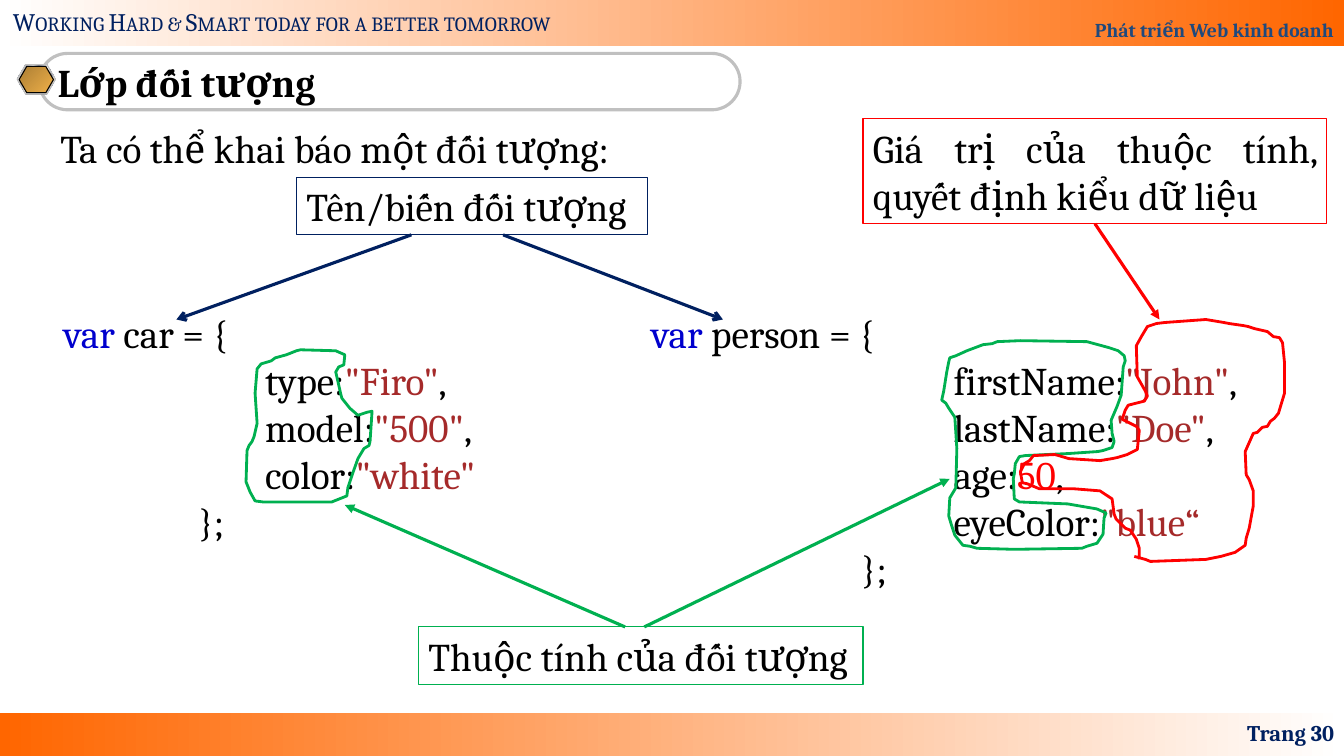
from copy import deepcopy

from lxml import etree
from pptx import Presentation
from pptx.dml.color import RGBColor
from pptx.enum.shapes import MSO_CONNECTOR, MSO_SHAPE
from pptx.enum.text import MSO_ANCHOR, PP_ALIGN
from pptx.oxml.ns import qn
from pptx.util import Inches, Pt

WHITE = RGBColor(0xFF, 0xFF, 0xFF)
BLACK = RGBColor(0, 0, 0)
ORANGE = RGBColor(0xFF, 0x66, 0x00)
NAVY = RGBColor(0x00, 0x20, 0x60)
HEADER_BLUE = RGBColor(0x1F, 0x49, 0x7D)
SILVER = RGBColor(0xC0, 0xC0, 0xC0)
GRAY = RGBColor(0x80, 0x80, 0x80)
LIGHT_STEEL = RGBColor(0xE6, 0xE6, 0xE6)
DARK_STEEL = RGBColor(0x7D, 0x84, 0x96)
DARK_GOLD = RGBColor(0xAB, 0x7E, 0x34)
GOLD = RGBColor(0xEF, 0xB0, 0x49)
GREEN = RGBColor(0x00, 0xB0, 0x50)
RED = RGBColor(0xFF, 0, 0)
KEYWORD = RGBColor(0, 0, 0xCD)
STRING = RGBColor(0xA5, 0x2A, 0x2A)

STEEL_STOPS = [(0, LIGHT_STEEL), (7, DARK_STEEL), (26, LIGHT_STEEL), (34, DARK_STEEL),
               (46, LIGHT_STEEL), (50, WHITE), (54, LIGHT_STEEL), (66, DARK_STEEL),
               (74, LIGHT_STEEL), (93, DARK_STEEL), (100, LIGHT_STEEL)]

CAR_CODE = [
    [("var", KEYWORD), (" car = {", BLACK)],
    [("\t\ttype:", BLACK), ('"Firo"', STRING), (",", BLACK)],
    [("\t\tmodel:", BLACK), ('"500"', STRING), (",", BLACK)],
    [("\t\tcolor:", BLACK), ('"white"', STRING)],
    [("\t    };", BLACK)],
]
PERSON_CODE = [
    [("var", KEYWORD), (" person = {", BLACK)],
    [("\t\t\tfirstName:", BLACK), ('"John"', STRING), (",", BLACK)],
    [("\t\t\tlastName:", BLACK), ('"Doe"', STRING), (",", BLACK)],
    [("\t\t\tage:", BLACK), ("50", RED), (",", BLACK)],
    [("\t\t\teyeColor:", BLACK), ('"blue“', STRING)],
    [("\t\t };", BLACK)],
]

# Hand-drawn outlines, in hundredths of an inch
CAR_PROPERTIES = [
    (261, 498), (253, 497), (248, 488), (244, 478), (245, 447), (247, 442), (250, 438),
    (252, 433), (255, 420), (253, 390), (255, 366), (259, 361), (269, 358), (273, 355),
    (284, 352), (294, 348), (298, 347), (333, 348), (342, 352), (341, 362), (336, 364),
    (333, 369), (338, 391), (339, 395), (347, 405), (355, 412), (364, 409), (369, 408),
    (367, 438), (366, 442), (361, 445), (355, 455), (350, 469), (347, 478), (345, 484),
    (344, 492), (339, 494), (329, 498), (291, 498)]
PERSON_PROPERTIES = [
    (934, 397), (936, 388), (939, 369), (941, 359), (942, 355), (948, 353), (959, 348),
    (975, 342), (984, 341), (989, 339), (1012, 338), (1078, 339), (1100, 345), (1109, 348),
    (1115, 353), (1116, 358), (1114, 364), (1112, 392), (1108, 403), (1102, 417),
    (1103, 430), (1105, 438), (1103, 444), (1094, 447), (1089, 448), (1060, 450),
    (1017, 452), (1011, 453), (1007, 460), (1006, 470), (1005, 475), (1006, 495),
    (1011, 498), (1059, 500), (1088, 505), (1097, 509), (1095, 514), (1094, 530),
    (1088, 539), (1078, 542), (1073, 544), (1006, 545), (969, 544), (962, 542), (955, 541),
    (947, 531), (944, 522), (941, 512), (942, 494), (948, 484), (949, 445), (947, 414),
    (941, 405), (938, 400)]
PERSON_VALUES = [
    (1125, 552), (1136, 555), (1141, 557), (1196, 555), (1211, 552), (1225, 548),
    (1235, 541), (1236, 534), (1239, 524), (1243, 502), (1243, 487), (1239, 476),
    (1236, 471), (1235, 448), (1243, 430), (1247, 429), (1252, 424), (1257, 423),
    (1260, 418), (1264, 415), (1268, 410), (1274, 390), (1274, 360), (1272, 340),
    (1269, 335), (1263, 334), (1257, 329), (1244, 326), (1238, 324), (1233, 323),
    (1219, 321), (1214, 320), (1196, 317), (1155, 320), (1147, 321), (1138, 324),
    (1132, 334), (1127, 343), (1128, 374), (1136, 388), (1138, 393), (1135, 398),
    (1119, 402), (1116, 407), (1113, 416), (1127, 423), (1130, 427), (1128, 446),
    (1118, 451), (1108, 454), (1103, 455), (1091, 457), (1060, 455), (1050, 452),
    (1046, 451), (1025, 452), (1021, 457), (1016, 460), (1012, 468), (1014, 479),
    (1019, 480), (1031, 485), (1066, 485), (1091, 487), (1103, 495), (1105, 510),
    (1107, 515), (1116, 524), (1121, 526), (1127, 535), (1130, 544), (1130, 555)]


def set_text(shape, lines, size=28, bold=False, align=PP_ALIGN.LEFT,
             anchor=MSO_ANCHOR.TOP, wrap=True, tabs=0):
    """Fill a shape with lines, each a list of (text, colour) runs."""
    frame = shape.text_frame
    frame.word_wrap = wrap
    frame.vertical_anchor = anchor
    for index, line in enumerate(lines):
        paragraph = frame.add_paragraph() if index else frame.paragraphs[0]
        paragraph.alignment = align
        if tabs:
            add_tab_stops(paragraph, tabs)
        for text, color in line:
            run = paragraph.add_run()
            run.text = text
            run.font.name = "Cambria"
            run.font.size = Pt(size)
            run.font.bold = bold
            run.font.color.rgb = color


def add_tab_stops(paragraph, count):
    """Add left tab stops one inch apart."""
    tab_list = etree.SubElement(paragraph._p.get_or_add_pPr(), qn("a:tabLst"))
    for inch in range(1, count + 1):
        etree.SubElement(tab_list, qn("a:tab"), pos=str(Inches(inch)), algn="l")


def add_text(slide, box, lines, **options):
    shape = slide.shapes.add_textbox(*map(Inches, box))
    set_text(shape, lines, **options)
    return shape


def add_plain_shape(slide, kind, box, line_color=None, width=0.75):
    shape = slide.shapes.add_shape(kind, *map(Inches, box))
    shape.shadow.inherit = False
    shape.fill.background()
    set_outline(shape, line_color, width)
    return shape


def set_outline(shape, color, width):
    if color is None:
        shape.line.fill.background()
    else:
        shape.line.color.rgb = color
        shape.line.width = Pt(width)


def set_gradient(shape, stops, angle=0):
    """Apply (percent, colour) stops; the angle runs counter-clockwise."""
    shape.fill.gradient()
    shape.fill.gradient_angle = angle
    stop_list = shape._element.spPr.find(".//" + qn("a:gsLst"))
    for _ in stops[2:]:
        stop_list.append(deepcopy(stop_list[0]))
    for stop, (percent, color) in zip(shape.fill.gradient_stops, stops):
        stop.position = percent / 100
        stop.color.rgb = color


def add_hexagon(slide, box, line_color=None):
    hexagon = add_plain_shape(slide, MSO_SHAPE.HEXAGON, box, line_color)
    hexagon.adjustments[0] = 0.29
    return hexagon


def add_label(slide, box, text, color, **options):
    label = add_plain_shape(slide, MSO_SHAPE.RECTANGLE, box, color)
    set_text(label, [[(text, BLACK)]], **options)
    return label


def add_arrow(slide, start, end, color, head="triangle"):
    arrow = slide.shapes.add_connector(MSO_CONNECTOR.STRAIGHT, *map(Inches, start + end))
    set_outline(arrow, color, 2.25)
    etree.SubElement(arrow.line._get_or_add_ln(), qn("a:tailEnd"), type=head)
    etree.SubElement(arrow._element.spPr, qn("a:effectLst"))
    return arrow


def add_loop(slide, points, color, close=True):
    builder = slide.shapes.build_freeform(*points[0], scale=Inches(1) / 100)
    builder.add_line_segments(points[1:], close=close)
    loop = builder.convert_to_shape()
    loop.shadow.inherit = False
    loop.fill.background()
    set_outline(loop, color, 2)


def add_frame(slide):
    """Add the header and footer bands, the title and the page number."""
    footer = add_plain_shape(slide, MSO_SHAPE.RECTANGLE, (0, 7.07, 13.33, 0.43))
    set_gradient(footer, [(0, ORANGE), (100, WHITE)])
    header = add_plain_shape(slide, MSO_SHAPE.RECTANGLE, (0, 0, 13.33, 0.46))
    set_gradient(header, [(0, WHITE), (100, ORANGE)])
    set_text(header, [[("Phát triển Web kinh doanh", HEADER_BLUE)]], size=14, bold=True,
             align=PP_ALIGN.RIGHT, anchor=MSO_ANCHOR.BOTTOM)
    header.text_frame.paragraphs[0].line_spacing = 1.8
    motto = add_text(slide, (0.03, 0.01, 5.9, 0.4),
                     [[("Working Hard & Smart today for a better tomorrow", NAVY)]],
                     size=18, wrap=False)
    motto.text_frame.paragraphs[0].runs[0].font._element.set("cap", "small")

    title = add_plain_shape(slide, MSO_SHAPE.ROUNDED_RECTANGLE, (0.39, 0.53, 6.95, 0.56),
                            SILVER, 2.25)
    title.adjustments[0] = 0.5
    set_text(title, [[("Lớp đối tượng", BLACK)]], bold=True, anchor=MSO_ANCHOR.MIDDLE)
    shade = add_hexagon(slide, (0.17, 0.65, 0.38, 0.29))
    shade.fill.solid()
    shade.fill.fore_color.rgb = GRAY
    set_gradient(add_hexagon(slide, (0.17, 0.64, 0.38, 0.29), SILVER), STEEL_STOPS, 315)
    set_gradient(add_hexagon(slide, (0.19, 0.66, 0.34, 0.26), BLACK),
                 [(0, DARK_GOLD), (100, GOLD)], 315)
    add_text(slide, (10.22, 7.07, 3.11, 0.4), [[("Trang 30", NAVY)]], size=16, bold=True,
             align=PP_ALIGN.RIGHT, anchor=MSO_ANCHOR.MIDDLE)


def main():
    presentation = Presentation()
    presentation.slide_width = Inches(13.33)
    presentation.slide_height = Inches(7.5)
    slide = presentation.slides.add_slide(presentation.slide_layouts[6])
    add_frame(slide)

    add_text(slide, (0.5, 1.18, 12.5, 5.74), [[("Ta có thể khai báo một đối tượng:", BLACK)]])
    add_text(slide, (6.36, 3.02, 6.67, 2.93), PERSON_CODE, tabs=3)
    add_text(slide, (0.53, 3.02, 4.58, 2.46), CAR_CODE, tabs=2)

    add_label(slide, (2.94, 1.76, 3.48, 0.57), "Tên/biến đối tượng", NAVY)
    add_arrow(slide, (4.08, 2.33), (1.75, 3.17), NAVY, "arrow")
    add_arrow(slide, (4.99, 2.33), (7.17, 3.17), NAVY, "arrow")

    add_loop(slide, CAR_PROPERTIES, GREEN)
    add_loop(slide, PERSON_PROPERTIES, GREEN)
    add_label(slide, (4.15, 6.22, 4.41, 0.57), "Thuộc tính của đối tượng", GREEN, wrap=False)
    add_arrow(slide, (6.2, 6.22), (3.42, 5.01), GREEN)
    add_arrow(slide, (6.39, 6.22), (9.42, 4.75), GREEN)

    add_loop(slide, PERSON_VALUES, RED, close=False)
    values_label = add_label(slide, (8.56, 1.18, 4.6, 1.04),
                             "Giá trị của thuộc tính, quyết định kiểu dữ liệu", RED,
                             align=PP_ALIGN.JUSTIFY)
    values_arrow = add_arrow(slide, (10.86, 2.22), (11.5, 3.17), RED)
    values_arrow.begin_connect(values_label, 2)

    presentation.save("out.pptx")


if __name__ == "__main__":
    main()
